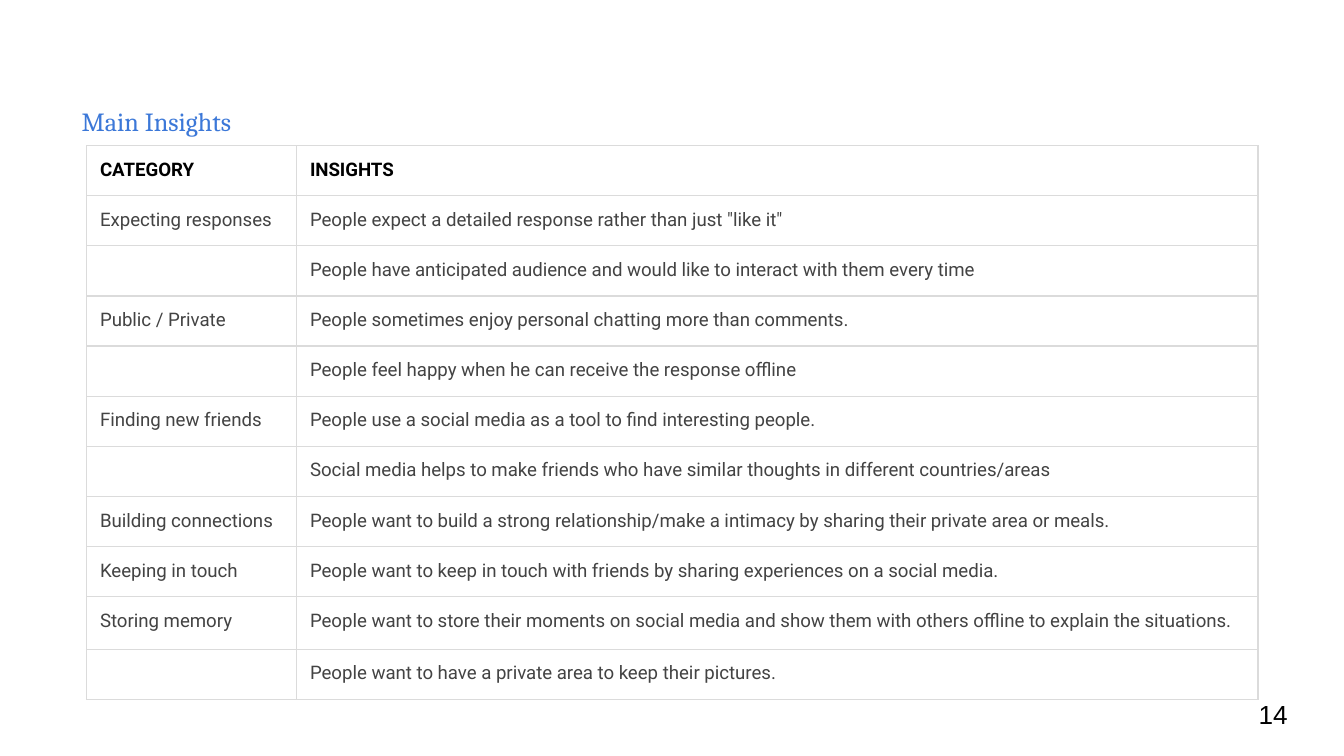
from pptx import Presentation
from pptx.dml.color import RGBColor
from pptx.enum.text import MSO_ANCHOR
from pptx.oxml import parse_xml
from pptx.oxml.ns import nsdecls
from pptx.util import Pt

BLACK = RGBColor(0x00, 0x00, 0x00)
GRAY = RGBColor(0x43, 0x43, 0x43)
BLUE = RGBColor(0x3C, 0x78, 0xD8)
BORDER = RGBColor(0xDB, 0xDB, 0xDB)

INSET = Pt(7.2)
COLUMN_WIDTHS = (112.5, 515)
ROW_HEIGHT = 26.85
TALL_ROW, TALL_ROW_HEIGHT = 9, 28.2

INSIGHTS = [
    ("CATEGORY", "INSIGHTS"),
    ("Expecting responses", 'People expect a detailed response rather than just "like it"'),
    ("", "People have anticipated audience and would like to interact with them every time"),
    ("Public / Private", "People sometimes enjoy personal chatting more than comments."),
    ("", "People feel happy when he can receive the response offline"),
    ("Finding new friends", "People use a social media as a tool to find interesting people."),
    ("", "Social media helps to make friends who have similar thoughts in different countries/areas"),
    ("Building connections",
     "People want to build a strong relationship/make a intimacy by sharing their private area or meals."),
    ("Keeping in touch", "People want to keep in touch with friends by sharing experiences on a social media."),
    ("Storing memory",
     "People want to store their moments on social media and show them with others offline"
     " to explain the situations."),
    ("", "People want to have a private area to keep their pictures."),
]


def write_text(frame, text, *, font, size, color, bold=False, line_spacing=None, space_after=None):
    frame.word_wrap = True
    frame.margin_left = frame.margin_right = INSET
    frame.margin_top = frame.margin_bottom = INSET
    paragraph = frame.paragraphs[0]
    paragraph.line_spacing = line_spacing
    paragraph.space_after = space_after
    if not text:
        # An empty cell still needs its text size to keep the row height
        end = parse_xml(f'<a:endParaRPr {nsdecls("a")} sz="{size * 100}"/>')
        paragraph._p.append(end)
        return
    run = paragraph.add_run()
    run.text = text
    run.font.name = font
    run.font.size = Pt(size)
    run.font.bold = bold
    run.font.color.rgb = color


def add_text_box(slide, box, text, **text_format):
    shape = slide.shapes.add_textbox(*(Pt(length) for length in box))
    write_text(shape.text_frame, text, **text_format)
    shape.text_frame.vertical_anchor = MSO_ANCHOR.MIDDLE


def set_borders(cell):
    properties = cell._tc.get_or_add_tcPr()
    for position, side in enumerate(("lnL", "lnR", "lnT", "lnB")):
        properties.insert(position, parse_xml(
            f'<a:{side} {nsdecls("a")} w="{Pt(0.75)}"><a:solidFill>'
            f'<a:srgbClr val="{BORDER}"/></a:solidFill></a:{side}>'))


def add_insights_table(slide, left, top):
    heights = [TALL_ROW_HEIGHT if row == TALL_ROW else ROW_HEIGHT for row in range(len(INSIGHTS))]
    table = slide.shapes.add_table(
        len(INSIGHTS), len(COLUMN_WIDTHS), Pt(left), Pt(top),
        Pt(sum(COLUMN_WIDTHS)), Pt(sum(heights))).table
    table.first_row = table.horz_banding = False
    for column, width in zip(table.columns, COLUMN_WIDTHS):
        column.width = Pt(width)

    for row_index, (height, texts) in enumerate(zip(heights, INSIGHTS)):
        table.rows[row_index].height = Pt(height)
        header = row_index == 0
        for column_index, text in enumerate(texts):
            cell = table.cell(row_index, column_index)
            cell.fill.background()
            cell.margin_left = cell.margin_right = INSET
            cell.margin_top = cell.margin_bottom = INSET
            write_text(cell.text_frame, text, font="Roboto", size=10,
                       color=BLACK if header else GRAY, bold=header)
            set_borders(cell)


def build_insights_slide(presentation):
    slide = presentation.slides.add_slide(presentation.slide_layouts[6])
    # Table of insights by category
    add_insights_table(slide, 46.4, 78)
    # Slide number
    add_text_box(slide, (667.2, 367.2, 43.2, 31), "14", font="Arial", size=14, color=BLACK)
    # Heading
    add_text_box(slide, (36.7, 44, 232.6, 39), "Main Insights", font="Cambria", size=14,
                 color=BLUE, line_spacing=1.15, space_after=Pt(16))


def main():
    presentation = Presentation()
    presentation.slide_width = Pt(720)
    presentation.slide_height = Pt(405)
    build_insights_slide(presentation)
    presentation.save("out.pptx")


if __name__ == "__main__":
    main()
